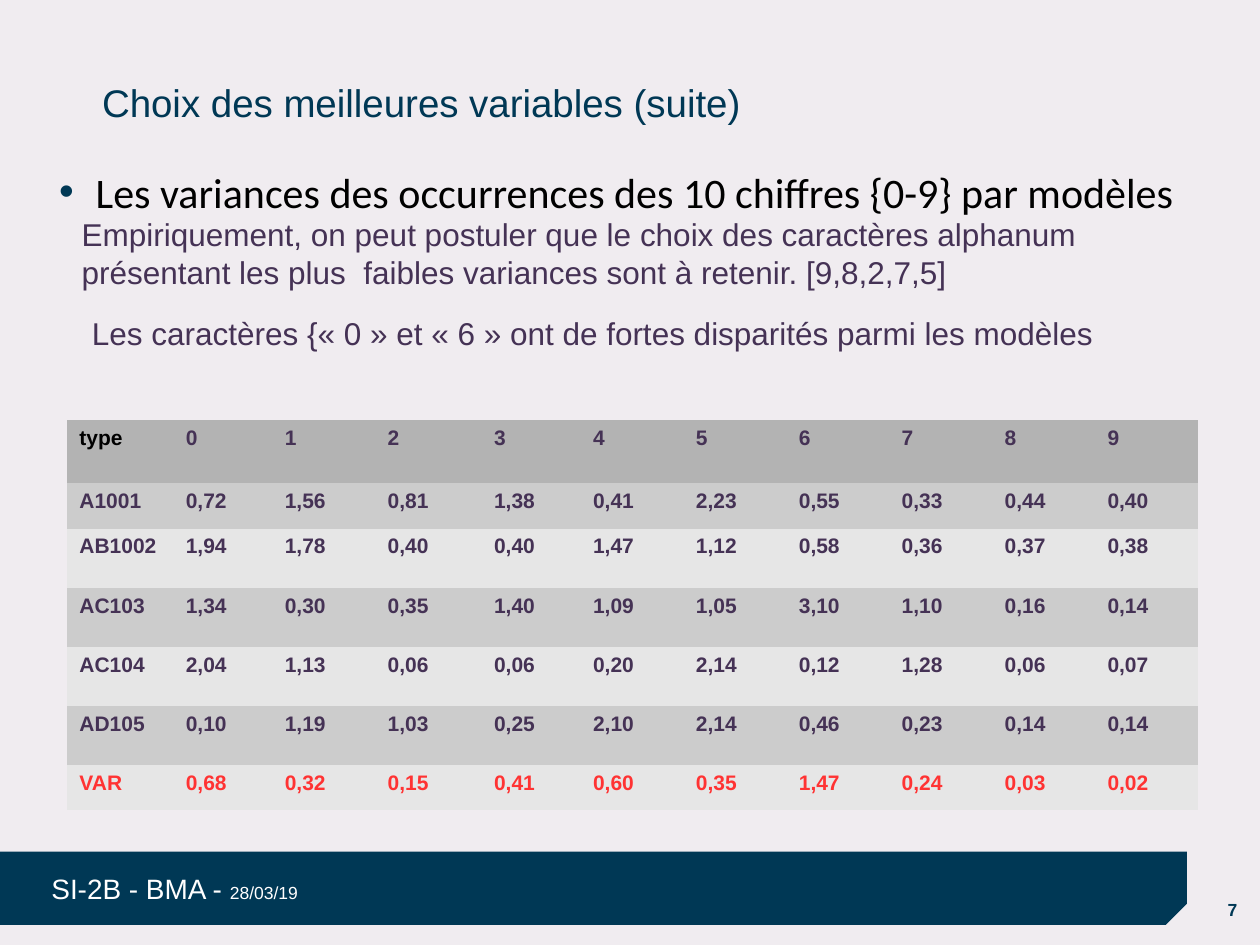
from pptx import Presentation
from pptx.dml.color import RGBColor
from pptx.enum.text import MSO_ANCHOR, MSO_AUTO_SIZE, PP_ALIGN
from pptx.oxml import parse_xml
from pptx.oxml.ns import nsdecls
from pptx.util import Pt

COLORS = {
    "background": "F0ECF0", "navy": "003855", "white": "FFFFFF",
    "black": "000000", "plum": "453255", "red": "FF3333",
    "header": "B3B3B3", "odd": "CCCCCC", "even": "E6E6E6",
}

ROWS = [
    "type 0 1 2 3 4 5 6 7 8 9",
    "A1001 0,72 1,56 0,81 1,38 0,41 2,23 0,55 0,33 0,44 0,40",
    "AB1002 1,94 1,78 0,40 0,40 1,47 1,12 0,58 0,36 0,37 0,38",
    "AC103 1,34 0,30 0,35 1,40 1,09 1,05 3,10 1,10 0,16 0,14",
    "AC104 2,04 1,13 0,06 0,06 0,20 2,14 0,12 1,28 0,06 0,07",
    "AD105 0,10 1,19 1,03 0,25 2,10 2,14 0,46 0,23 0,14 0,14",
    "VAR 0,68 0,32 0,15 0,41 0,60 0,35 1,47 0,24 0,03 0,02",
]
COL_WIDTHS = [60.8, 56.6, 58.8, 60.8, 56.6] + [58.8] * 6
ROW_HEIGHTS = [36, 26.2] + [33.8] * 4 + [25.8]


def rgb(name):
    return RGBColor.from_string(COLORS[name])


def style(r, size, color, font="Arial", bold=False):
    r.font.size = Pt(size)
    r.font.name = font
    r.font.bold = bold
    r.font.color.rgb = rgb(color)


def place(sp, box):
    sp.left, sp.top, sp.width, sp.height = [Pt(v) for v in box]


def set_frame(tf, inset_x=0, inset_y=0, anchor=MSO_ANCHOR.TOP):
    tf.word_wrap = True
    tf.auto_size = MSO_AUTO_SIZE.NONE
    tf.margin_left = tf.margin_right = Pt(inset_x)
    tf.margin_top = tf.margin_bottom = Pt(inset_y)
    tf.vertical_anchor = anchor


def add_text(slide, box, text, size, color):
    tf = slide.shapes.add_textbox(*[Pt(v) for v in box]).text_frame
    set_frame(tf, 7.2, 3.6)
    p = tf.paragraphs[0]
    p.text = text
    style(p.runs[0], size, color)
    return tf


def add_footer(slide, box):
    x, y, w, h = box
    cut = 12
    builder = slide.shapes.build_freeform(Pt(x), Pt(y))
    builder.add_line_segments([
        (Pt(x + w), Pt(y)), (Pt(x + w), Pt(y + h - cut)),
        (Pt(x + w - cut), Pt(y + h)), (Pt(x), Pt(y + h)),
    ])
    band = builder.convert_to_shape()
    band.shadow.inherit = False
    band.fill.solid()
    band.fill.fore_color.rgb = rgb("navy")
    band.line.fill.background()

    tf = add_text(slide, (x + 22.3, y + 7.9, 594, 26.6), "SI-2B - BMA - ", 16, "white")
    p = tf.paragraphs[0]
    p.space_before = Pt(6.2)
    r = p.add_run()
    r.text = "28/03/19"
    style(r, 10, "white")

    tf = add_text(slide, (x + w - 12.2, y + 18.7, 41, 20.2), "7", 10, "navy")
    set_frame(tf, anchor=MSO_ANCHOR.BOTTOM)
    p = tf.paragraphs[0]
    p.alignment = PP_ALIGN.RIGHT
    p.runs[0].font.bold = True


def add_title(slide, box):
    sp = slide.shapes.title
    place(sp, box)
    tf = sp.text_frame
    tf.text = "Choix des meilleures variables (suite)"
    set_frame(tf, anchor=MSO_ANCHOR.MIDDLE)
    p = tf.paragraphs[0]
    p.alignment = PP_ALIGN.LEFT
    p.line_spacing = 0.95
    style(p.runs[0], 22, "navy")


def add_body(slide, box):
    sp = slide.placeholders[1]
    place(sp, box)
    tf = sp.text_frame
    tf.text = "Les variances des occurrences des 10 chiffres {0-9} par modèles"
    set_frame(tf)
    p = tf.paragraphs[0]
    p.space_before, p.space_after = Pt(15.7), Pt(4.5)
    style(p.runs[0], 24, "black", "Calibri")
    pPr = p._p.get_or_add_pPr()
    pPr.set("marL", str(Pt(20.9)))
    pPr.set("indent", str(Pt(-20.9)))
    for xml in (
        f'<a:buClr {nsdecls("a")}><a:srgbClr val="{COLORS["navy"]}"/></a:buClr>',
        f'<a:buFont {nsdecls("a")} typeface="Arial"/>',
        f'<a:buChar {nsdecls("a")} char="•"/>',
    ):
        pPr.append(parse_xml(xml))


def add_comments(slide, box):
    x, y, w, h = box
    add_text(slide, (x, y, 589.7, 50.4),
             "Empiriquement, on peut postuler que le choix des caractères alphanum "
             "présentant les plus  faibles variances sont à retenir. [9,8,2,7,5]",
             18, "plum")
    add_text(slide, (x + 5.8, y + 56.2, w - 5.8, h - 56.2),
             "Les caractères {«\u00a00\u00a0»\u00a0et «\u00a06\u00a0» ont de fortes "
             "disparités parmi les modèles", 18, "plum")


def add_variances(slide, box):
    table = slide.shapes.add_table(
        len(ROWS), len(COL_WIDTHS), *[Pt(v) for v in box]).table
    for col, width in zip(table.columns, COL_WIDTHS):
        col.width = Pt(width)
    for i, (row, height) in enumerate(zip(table.rows, ROW_HEIGHTS)):
        row.height = Pt(height)
        fill = "header" if i == 0 else "odd" if i % 2 else "even"
        for j, (cell, value) in enumerate(zip(row.cells, ROWS[i].split())):
            cell.fill.solid()
            cell.fill.fore_color.rgb = rgb(fill)
            tcPr = cell._tc.get_or_add_tcPr()
            for k, side in enumerate(("lnL", "lnR", "lnT", "lnB")):
                tcPr.insert(k, parse_xml(
                    f'<a:{side} {nsdecls("a")} w="0"><a:noFill/></a:{side}>'))
            p = cell.text_frame.paragraphs[0]
            p.text = value
            color = "red" if i == len(ROWS) - 1 else "black" if i == j == 0 else "plum"
            style(p.runs[0], 12, color, bold=True)


prs = Presentation()
prs.slide_width, prs.slide_height = Pt(720), Pt(540)
slide = prs.slides.add_slide(prs.slide_layouts[1])
slide.background.fill.solid()
slide.background.fill.fore_color.rgb = rgb("background")
add_footer(slide, (0, 486.7, 678.2, 41.8))
add_title(slide, (58.3, 33.1, 631.4, 53.3))
add_body(slide, (33.8, 95, 640.8, 375.8))
add_variances(slide, (38.2, 239.8, sum(COL_WIDTHS), sum(ROW_HEIGHTS)))
add_comments(slide, (39.6, 119.5, 635, 85))
prs.save("out.pptx")
